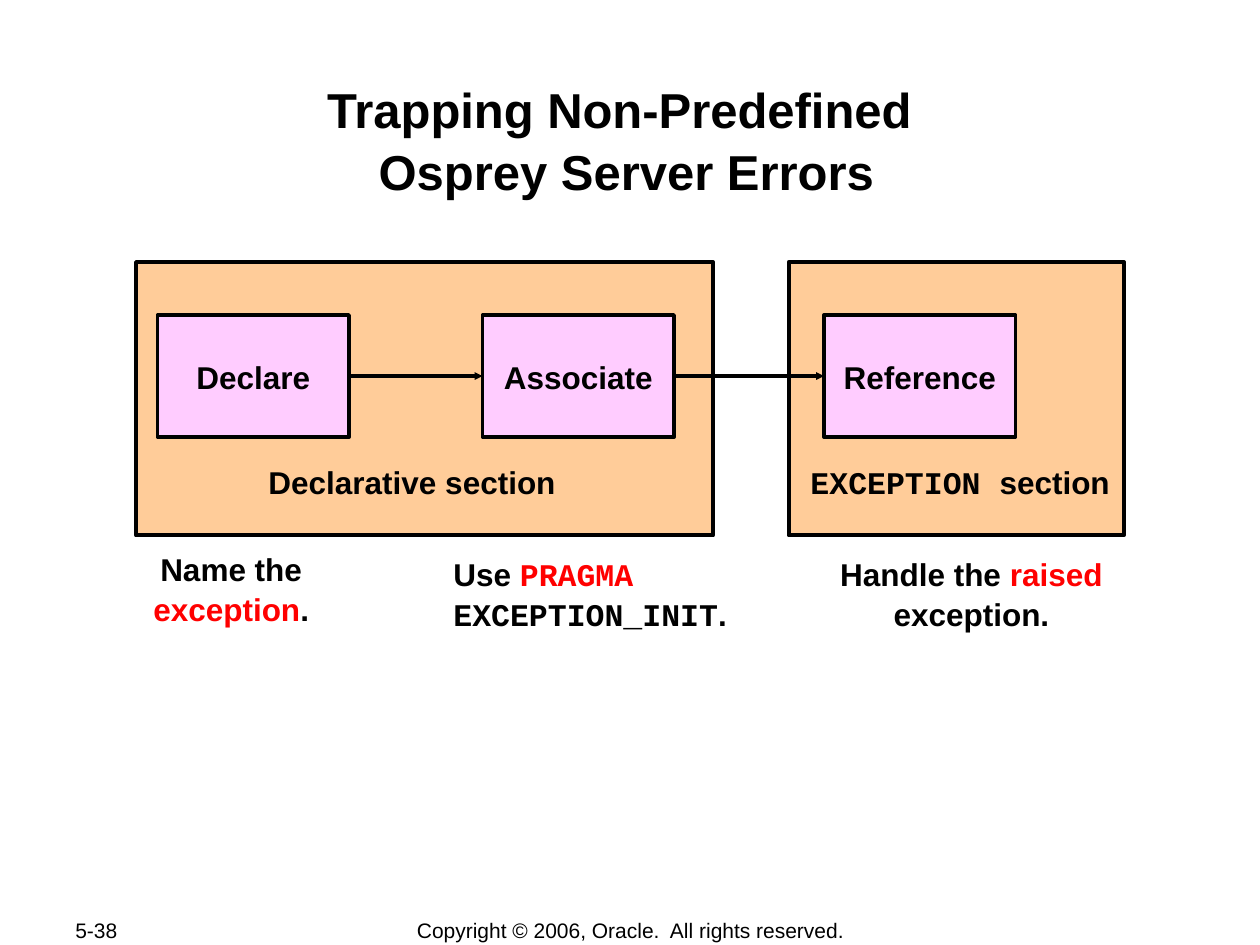
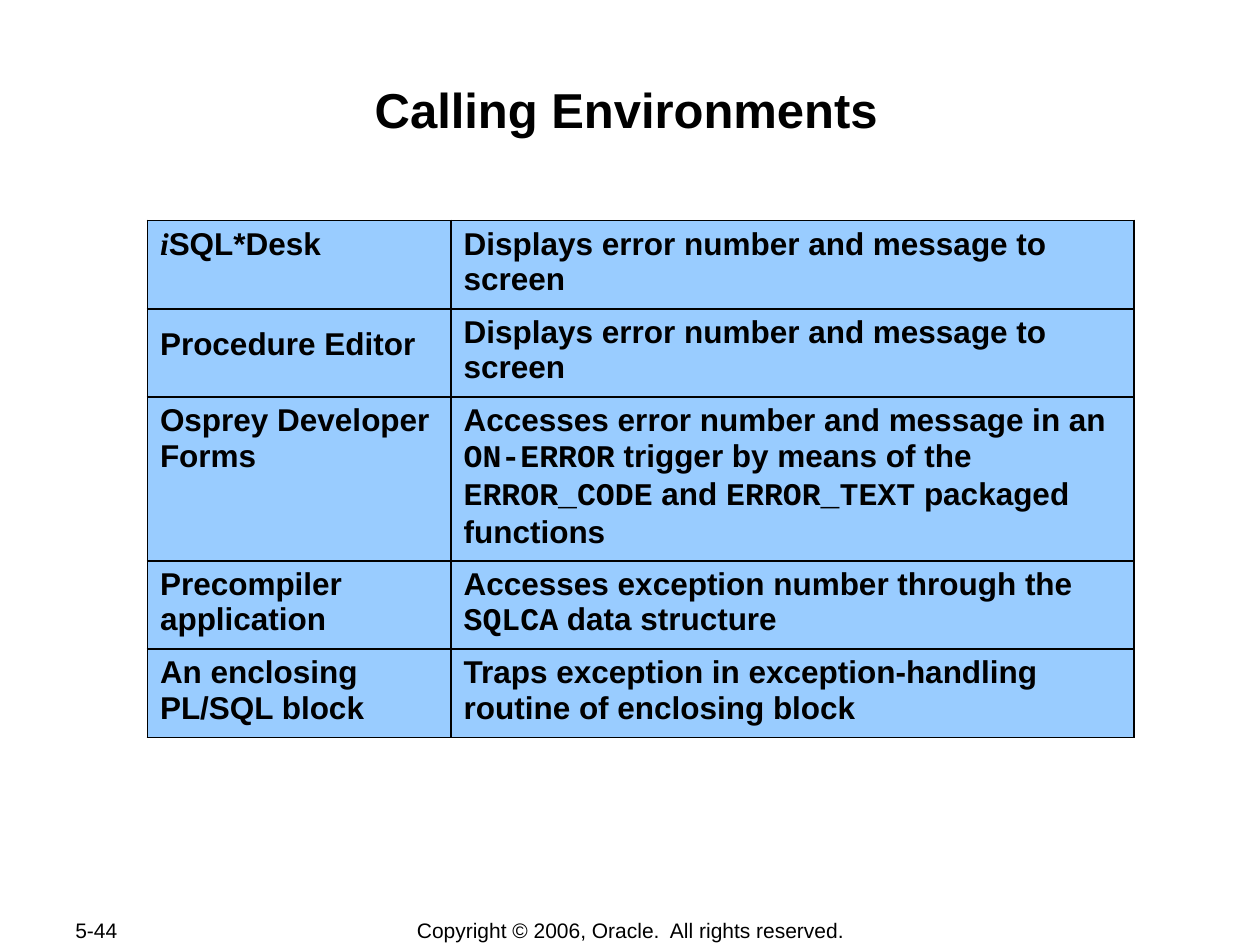
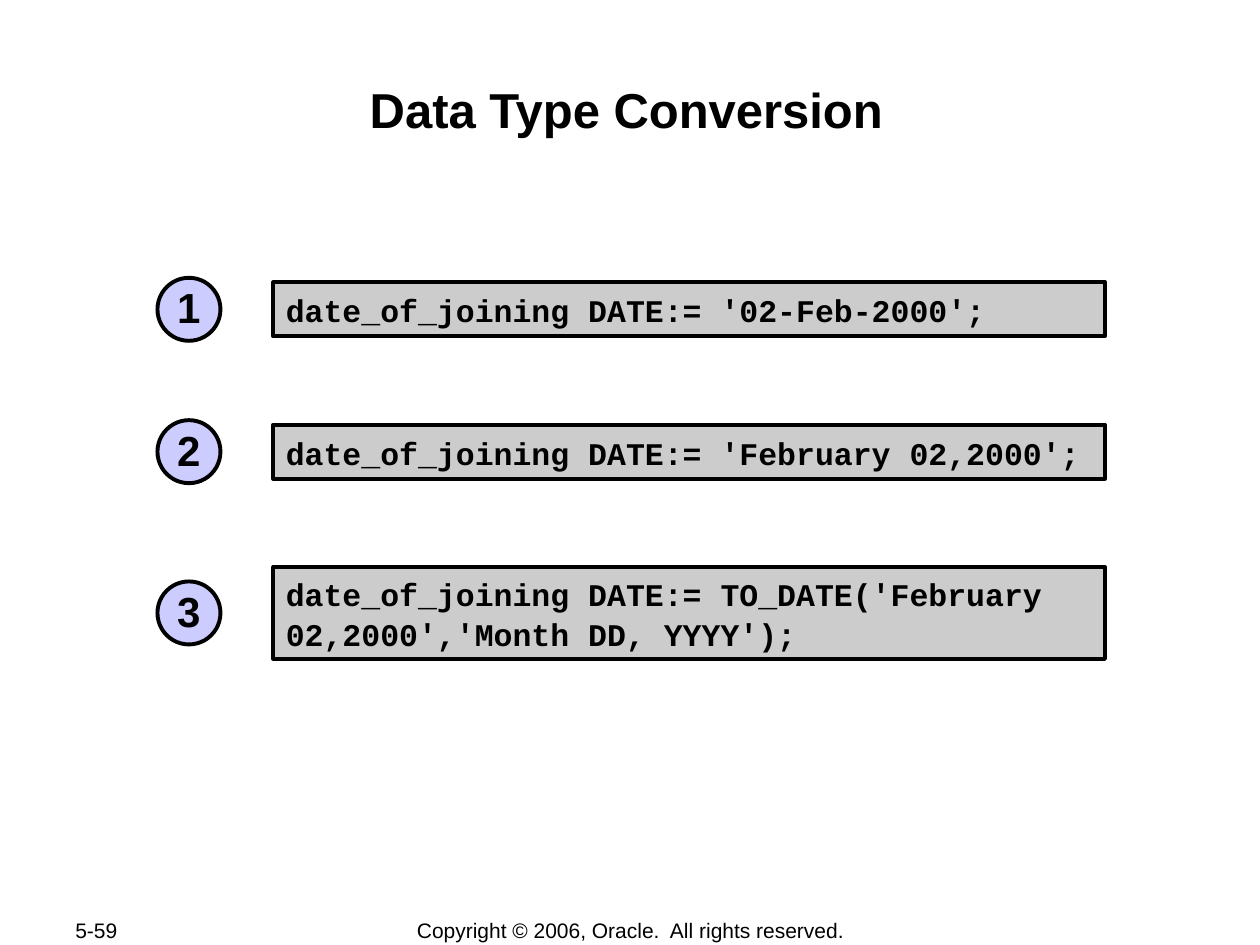
from collections import namedtuple

from lxml.etree import SubElement
from pptx import Presentation
from pptx.dml.color import RGBColor
from pptx.enum.shapes import MSO_CONNECTOR, MSO_SHAPE
from pptx.enum.text import MSO_ANCHOR, PP_ALIGN
from pptx.oxml.ns import qn
from pptx.util import Inches, Pt

COLS, ROWS = 100, 75
UNIT = Inches(10) // COLS
LEFT, MID = PP_ALIGN.LEFT, PP_ALIGN.CENTER
TOP, CORE = MSO_ANCHOR.TOP, MSO_ANCHOR.MIDDLE

Box = namedtuple("Box", "left top wide high")


class Theme:
    ink, hot = "000000", "FF0000"
    panel, step, cell, code, badge = "FFCC99", "FFCCFF", "99CCFF", "CCCCCC", "CCCCFF"
    thick, thin, edge = 2.25, 2, 1.08
    space = 1.05
    looks = {
        "title": ("Arial", 28, ink, True, False),
        "foot": ("Arial", 12, ink, False, False),
        "body": ("Arial", 18, ink, True, False),
        "hot": ("Arial", 18, hot, True, False),
        "code": ("Courier New", 18, ink, True, False),
        "hotcode": ("Courier New", 18, hot, True, False),
        "serif": ("Times New Roman", 18, ink, True, True),
        "badge": ("Arial", 24, ink, True, False),
    }


def put(thing, **vals):
    for name, val in vals.items():
        setattr(thing, name, val)


def part(box, x, y, wide, high):
    return Box(box.left + x, box.top + y, wide, high)


def emu(box):
    return [round(val * UNIT) for val in box]


def write(frame, runs, align=LEFT, space=Theme.space, **vals):
    put(frame, **vals)
    para = frame.paragraphs[0]
    put(para, alignment=align, line_spacing=space)
    for text, look in runs:
        for row, line in enumerate(text.split("\n")):
            if row:
                para.add_line_break()
            if line:
                run = para.add_run()
                run.text = line
                name, size, tint, bold, italic = Theme.looks[look]
                put(run.font, name=name, size=Pt(size), bold=bold, italic=italic)
                run.font.color.rgb = RGBColor.from_string(tint)


def label(slide, box, runs, align=LEFT, wrap=True, **vals):
    frame = slide.shapes.add_textbox(*emu(box)).text_frame
    write(frame, runs, align, word_wrap=wrap, **vals)


def block(slide, box, fill, width, kind=MSO_SHAPE.RECTANGLE):
    shape = slide.shapes.add_shape(kind, *emu(box))
    shape.shadow.inherit = False
    shape.fill.solid()
    shape.fill.fore_color.rgb = RGBColor.from_string(fill)
    shape.line.color.rgb = RGBColor.from_string(Theme.ink)
    shape.line.width = Pt(width)
    return shape


def arrow(slide, start, end):
    link = slide.shapes.add_connector(MSO_CONNECTOR.STRAIGHT, 0, 0, 0, 0)
    link.begin_connect(start, 3)
    link.end_connect(end, 1)
    link.line.color.rgb = RGBColor.from_string(Theme.ink)
    link.line.width = Pt(Theme.thick)
    props = link.line._get_or_add_ln()
    SubElement(props, qn("a:tailEnd"), type="triangle", w="sm", len="sm")
    SubElement(link._element.spPr, qn("a:effectLst"))


def base(deck, title, page):
    slide = deck.slides.add_slide(deck.slide_layouts[6])
    whole = Box(0, 0, COLS, ROWS)
    label(slide, part(whole, 5, 72.8, 10.6, 2), [(page, "foot")],
          wrap=False, vertical_anchor=CORE, space=1)
    label(slide, part(whole, 27.6, 72.8, 44.9, 2),
          [("Copyright © 2006, Oracle.  All rights reserved.", "foot")],
          MID, False, vertical_anchor=CORE, space=1)
    slim = dict.fromkeys(
        ("margin_left", "margin_top", "margin_right", "margin_bottom"), Inches(0.01))
    label(slide, part(whole, 9.7, 6, 80, 9.6), [(title, "title")], MID, **slim)
    return slide


def panel(slide, box, name, x, wide):
    block(slide, box, Theme.panel, Theme.thick)
    label(slide, part(box, x, 15.3, wide, 4), name, MID, False)


def flow(slide, box):
    panel(slide, part(box, 0, 0, 45.8, 21.7), [("Declarative section", "body")], 9.5, 24.8)
    panel(slide, part(box, 51.8, 0, 26.6, 21.7),
          [("EXCEPTION ", "code"), ("section", "body")], 0.7, 25.8)
    steps = []
    for name, x in (("Declare", 1.7), ("Associate", 27.5), ("Reference", 54.6)):
        shape = block(slide, part(box, x, 4.2, 15.2, 9.7), Theme.step, Theme.thin)
        write(shape.text_frame, [(name, "body")], MID,
              word_wrap=False, vertical_anchor=CORE)
        steps.append(shape)
    for start, end in zip(steps, steps[1:]):
        arrow(slide, start, end)
    notes = (
        (-0.8, 22.2, 16.7, MID,
         [("Name the\n", "body"), ("exception", "hot"), (".", "body")]),
        (24.2, 22.6, 25, LEFT,
         [("Use ", "body"), ("PRAGMA", "hotcode"), (" EXCEPTION_INIT", "code"),
          (".", "body")]),
        (54.2, 22.6, 24.2, MID,
         [("Handle the", "body"), (" raised ", "hot"), ("exception.", "body")]),
    )
    for x, y, wide, align, runs in notes:
        label(slide, part(box, x, y, wide, 7.5), runs, align)


def border(cell):
    props = cell._tc.get_or_add_tcPr()
    for side in "LRTB":
        line = SubElement(props, qn("a:ln" + side), w=str(Pt(Theme.edge)))
        fill = SubElement(line, qn("a:solidFill"))
        SubElement(fill, qn("a:srgbClr"), val=Theme.ink)


def chart(slide, box, rows, wides, highs):
    grid = slide.shapes.add_table(len(rows), len(wides), *emu(box)).table
    put(grid, first_row=False, horz_banding=False)
    for col, wide in zip(grid.columns, wides):
        col.width = round(wide * UNIT)
    for row, high, (space, *texts) in zip(grid.rows, highs, rows):
        row.height = round(high * UNIT)
        for cell, runs, gap in zip(row.cells, texts, (space, 1)):
            border(cell)
            cell.fill.solid()
            cell.fill.fore_color.rgb = RGBColor.from_string(Theme.cell)
            cell.vertical_anchor = TOP
            write(cell.text_frame, runs, space=gap)


def listing(slide, box, codes, gap=7):
    y = 0
    for num, (code, high) in enumerate(codes, 1):
        bar = block(slide, part(box, 9.2, y, 66, high), Theme.code, Theme.thick)
        write(bar.text_frame, [(code, "code")], word_wrap=True, vertical_anchor=CORE)
        disc = block(slide, part(box, 0, y + high / 2 - 2.5, 5, 5),
                     Theme.badge, Theme.thick, MSO_SHAPE.OVAL)
        write(disc.text_frame, [(str(num), "badge")], MID, 0.95,
              word_wrap=False, vertical_anchor=CORE)
        y += high + gap


def main():
    deck = Presentation()
    put(deck, slide_width=COLS * UNIT, slide_height=ROWS * UNIT)

    slide = base(deck, "Trapping Non-Predefined \nOsprey Server Errors", "5-38")
    flow(slide, Box(10.8, 20.8, 78.4, 30))

    slide = base(deck, "Calling Environments", "5-44")
    shown = [("Displays error number and message to screen", "body")]
    rows = (
        (1, [("i", "serif"), ("SQL*Desk", "body")], shown),
        (1.35, [("Procedure Editor", "body")], shown),
        (1, [("Osprey Developer Forms", "body")],
         [("Accesses error number and message in an \n", "body"), ("ON-ERROR", "code"),
          (" trigger by means of the ", "body"), ("ERROR_CODE", "code"),
          (" and ", "body"), ("ERROR_TEXT", "code"), (" packaged functions", "body")]),
        (1, [("Precompiler application", "body")],
         [("Accesses exception number through the ", "body"), ("SQLCA", "code"),
          (" data structure", "body")]),
        (1, [("An enclosing PL/SQL block", "body")],
         [("Traps exception in exception-handling routine of enclosing block", "body")]),
    )
    chart(slide, Box(11.7, 17.5, 78.3, 41), rows, (24.1, 54.2), (7, 7, 13, 7, 7))

    slide = base(deck, "Data Type Conversion", "5-59")
    listing(slide, Box(12.5, 22.4, 75.2, 30), (
        ("date_of_joining DATE:= '02-Feb-2000';", 4.3),
        ("date_of_joining DATE:= 'February 02,2000';", 4.3),
        ("date_of_joining DATE:= TO_DATE('February 02,2000','Month DD, YYYY');", 7.3),
    ))
    deck.save("out.pptx")


if __name__ == "__main__":
    main()
